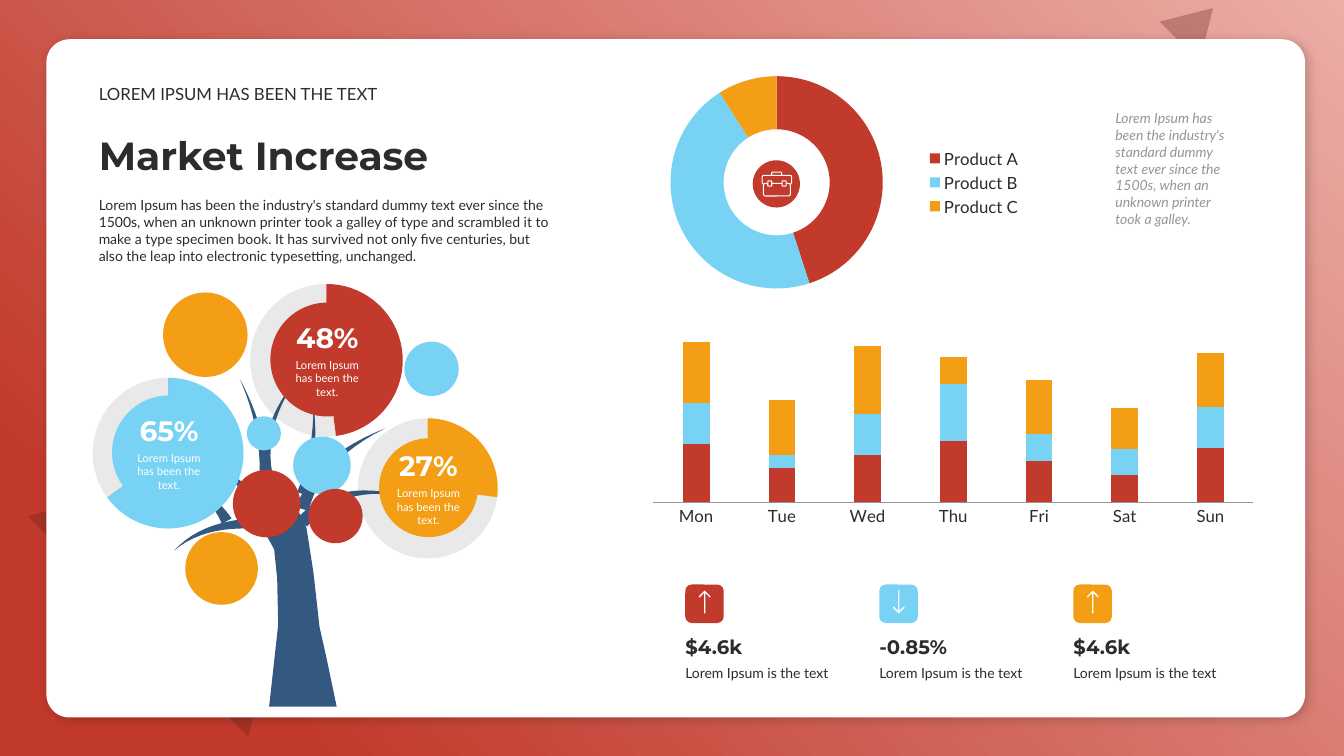
import lxml.etree
import pptx
import pptx.chart.data
import pptx.dml.color
import pptx.enum.chart
import pptx.enum.shapes
import pptx.enum.text
import pptx.oxml
import pptx.oxml.ns
import pptx.util

Cm = pptx.util.Cm
Pt = pptx.util.Pt
Shape = pptx.enum.shapes.MSO_SHAPE
Kind = pptx.enum.chart.XL_CHART_TYPE
Anchor = pptx.enum.text.MSO_ANCHOR
qn = pptx.oxml.ns.qn
DRAWING = 'xmlns:a="http://schemas.openxmlformats.org/drawingml/2006/main"'

RED, BLUE, ORANGE = "C13A2C", "78D2F4", "F39E14"
INK, WHITE, GREY, TRUNK, SHADE = "2C2C2C", "FFFFFF", "969696", "335981", "601D16"
FINE = Cm(0.0254)  # grid step of the tree

GRADIENT = f"""<a:gradFill {DRAWING} rotWithShape="1"><a:gsLst>
<a:gs pos="0"><a:srgbClr val="EBADA6"/></a:gs><a:gs pos="85000"><a:srgbClr val="{RED}"/></a:gs>
</a:gsLst><a:path path="circle"><a:fillToRect l="100000" b="100000"/></a:path></a:gradFill>"""
SHADOW = f"""<a:effectLst {DRAWING}><a:outerShdw blurRad="101600" dist="38100" dir="2700000"
algn="tl" rotWithShape="0"><a:srgbClr val="000000"><a:alpha val="20000"/></a:srgbClr>
</a:outerShdw></a:effectLst>"""

STEM = [(267, 701), (276, 620), (275, 574), (272, 545), (262, 527), (290, 495),
        (304, 523), (311, 568), (317, 622), (324, 653), (334, 701)]
# Branches: root, bend, tip and width at the root
BRANCHES = [((270, 520), (205, 515), (173, 546), 12), ((225, 517), (212, 493), (180, 476), 11),
            ((270, 515), (230, 462), (165, 434), 9), ((262, 475), (262, 425), (238, 376), 9),
            ((268, 480), (255, 425), (298, 371), 9), ((300, 490), (314, 450), (311, 401), 11),
            ((300, 505), (315, 455), (382, 425), 13), ((300, 518), (335, 478), (401, 492), 13)]
ARROW_HALF = [(0, 0), (15, 15), (13, 18), (1.5, 6), (1.5, 58)]
ARROW_UP = ARROW_HALF + [(-x, y) for x, y in reversed(ARROW_HALF[1:])]
ARROW_DOWN = [(x, 58 - y) for x, y in ARROW_UP]


def color(value):
    return pptx.dml.color.RGBColor.from_string(value)


def taper(root, bend, tip, width, steps=12):
    """Outline of a curved branch that narrows to a point."""
    sides = ([], [])
    for step in range(steps + 1):
        t = step / steps
        x, y = ((1 - t) ** 2 * a + 2 * t * (1 - t) * b + t * t * c for a, b, c in zip(root, bend, tip))
        dx, dy = ((1 - t) * (b - a) + t * (c - b) for a, b, c in zip(root, bend, tip))
        reach = width * (1 - t) / 2 / (dx * dx + dy * dy) ** 0.5
        for side, sign in zip(sides, (1, -1)):
            side.append((x - sign * dy * reach, y + sign * dx * reach))
    return sides[0] + sides[1][::-1]


class Board:
    """Holds the style and the current slide."""

    def __init__(self, page, body="Lato", heading="Montserrat"):
        self.page, self.body, self.heading = page, body, heading

    def paint(self, target, value, alpha=None):
        target.fill.solid()
        target.fill.fore_color.rgb = color(value)
        target.line.fill.background()
        if alpha:
            tint = target.fill._xPr.find(qn("a:solidFill"))[0]
            lxml.etree.SubElement(tint, qn("a:alpha")).set("val", str(alpha * 1000))

    def shape(self, kind, left, top, width, height, value, alpha=None, rotation=0):
        box = self.page.shapes.add_shape(kind, Cm(left), Cm(top), Cm(width), Cm(height))
        box.shadow.inherit = False
        box.rotation = rotation
        self.paint(box, value, alpha)
        return box

    def ball(self, left, top, size, value):
        return self.shape(Shape.OVAL, left, top, size, size, value)

    def outline(self, points, left, top, unit, value):
        scaled = [(x * unit, y * unit) for x, y in points]
        builder = self.page.shapes.build_freeform(*scaled[0], scale=1.0)
        builder.add_line_segments(scaled[1:], close=True)
        form = builder.convert_to_shape(Cm(left), Cm(top))
        form.shadow.inherit = False
        self.paint(form, value)

    def style(self, font, size, value=INK, bold=False, italic=False):
        font.name = self.heading if bold else self.body
        font.size, font.bold, font.italic = Pt(size), bold, italic
        font.color.rgb = color(value)

    def text(self, words, left, top, width, height, size, anchor=Anchor.TOP, side=0.25, **look):
        box = self.page.shapes.add_textbox(Cm(left), Cm(top), Cm(width), Cm(height))
        frame = box.text_frame
        frame.word_wrap, frame.vertical_anchor = True, anchor
        frame.margin_left = frame.margin_right = Cm(side)
        frame.text = words
        self.style(frame.paragraphs[0].runs[0].font, size, **look)

    def chart(self, kind, left, top, width, height, categories, rows, size=10, layout=None):
        data = pptx.chart.data.CategoryChartData()
        data.categories = categories
        for number, row in enumerate(rows, 1):
            data.add_series(f"Series {number}", row)
        chart = self.page.shapes.add_chart(kind, Cm(left), Cm(top), Cm(width), Cm(height), data).chart
        chart.has_title = chart.has_legend = False
        self.style(chart.font, size)
        if layout:
            area = chart._chartSpace.find(".//" + qn("c:plotArea"))
            for old in area.findall(qn("c:layout")):
                area.remove(old)
            holder = lxml.etree.Element(qn("c:layout"))
            manual = lxml.etree.SubElement(holder, qn("c:manualLayout"))
            settings = ["inner", "edge", "edge", *layout]
            for tag, setting in zip(["layoutTarget", "xMode", "yMode", "x", "y", "w", "h"], settings):
                lxml.etree.SubElement(manual, qn("c:" + tag)).set("val", str(setting))
            area.insert(0, holder)
        return chart

    def doughnut(self, left, top, width, height, categories, values, fills, hole, layout=None):
        chart = self.chart(Kind.DOUGHNUT, left, top, width, height, categories, [values], layout=layout)
        chart._chartSpace.find(".//" + qn("c:holeSize")).set("val", str(hole))
        for index, fill in enumerate(fills):
            self.paint(chart.plots[0].series[0].points[index].format, *fill)
        return chart

    def gauge(self, percent, center_x, center_y, width, disc, value):
        height = 0.92 * width
        self.doughnut(center_x - width / 2, center_y - height / 2, width, height, ["1", "2"],
                      [percent, 100 - percent], [(value,), (INK, 10)], 80, (0.06, 0.03, 0.87, 0.95))
        frame = self.ball(center_x - disc / 2, center_y - disc / 2, disc, value).text_frame
        frame.word_wrap, frame.vertical_anchor = True, Anchor.MIDDLE
        frame.margin_left = frame.margin_right = 0
        frame.text = f"{percent}%\nLorem Ipsum has been the text."
        for para, size, bold in zip(frame.paragraphs, (20, 8), (True, False)):
            para.alignment, para.space_before = pptx.enum.text.PP_ALIGN.CENTER, Pt(3)
            self.style(para.runs[0].font, size, WHITE, bold)

    def briefcase(self, left, top):
        # Handle, lid, case and two clasps
        for x, y, width, height in [(0.25, 0.02, 0.25, 0.1), (0.01, 0.1, 0.74, 0.22), (0.04, 0.3, 0.68, 0.32),
                                    (0.15, 0.24, 0.1, 0.13), (0.51, 0.24, 0.1, 0.13)]:
            part = self.shape(Shape.ROUNDED_RECTANGLE, left + x, top + y, width, height, RED)
            part.line.color.rgb, part.line.width = color(WHITE), Pt(0.75)


def main():
    deck = pptx.Presentation()
    deck.slide_width, deck.slide_height = Cm(33.87), Cm(19.05)
    board = Board(deck.slides.add_slide(deck.slide_layouts[6]))

    # Backdrop and card
    backdrop = board.shape(Shape.RECTANGLE, 0, 0, 33.87, 19.05, RED)._element.spPr
    backdrop.replace(backdrop.find(qn("a:solidFill")), pptx.oxml.parse_xml(GRADIENT))
    board.shape(Shape.ISOSCELES_TRIANGLE, 1.85, 10.21, 7.87, 6.53, SHADE, 30, 45)
    board.shape(Shape.ISOSCELES_TRIANGLE, 29.44, 0.03, 1.42, 1.19, SHADE, 30, 45)
    card = board.shape(Shape.ROUNDED_RECTANGLE, 1.17, 0.99, 31.72, 17.09, WHITE)
    card.adjustments[0] = 0.034
    effects = card._element.spPr
    effects.replace(effects.find(qn("a:effectLst")), pptx.oxml.parse_xml(SHADOW))

    # Heading
    board.text("Lorem Ipsum has been the industry's standard dummy text ever since the 1500s, when an unknown "
               "printer took a galley of type and scrambled it to make a type specimen book. It has survived not "
               "only five centuries, but also the leap into electronic typesetting, unchanged.",
               2.24, 4.83, 12.01, 1.96, 10)
    board.text("Market Increase", 2.24, 3.18, 12.01, 1.45, 28, Anchor.BOTTOM, bold=True)
    board.text("LOREM IPSUM HAS BEEN THE TEXT", 2.24, 1.98, 12.01, 0.76, 12, Anchor.BOTTOM)

    # Tree with gauges and balls
    for points in [STEM] + [taper(*branch) for branch in BRANCHES]:
        board.outline(points, 0, 0, FINE, TRUNK)
    board.gauge(65, 4.26, 11.4, 4.37, 2.87, BLUE)
    for ball in [(4.67, 13.41, 1.83, ORANGE), (5.87, 11.84, 1.7, RED), (7.39, 11, 1.45, BLUE),
                 (4.11, 7.37, 2.13, ORANGE), (7.77, 12.32, 1.37, RED), (10.19, 8.61, 1.37, BLUE)]:
        board.ball(*ball)
    board.gauge(48, 8.25, 9.06, 4.42, 2.87, RED)
    board.gauge(27, 10.8, 12.29, 4.06, 2.49, ORANGE)
    board.ball(6.22, 10.49, 0.86, BLUE)

    # Product shares
    shares = board.doughnut(15.85, 1.57, 10.16, 6.05, ["Product A", "Product B", "Product C"],
                            [45, 46, 9], [(RED,), (BLUE,), (ORANGE,)], 50)
    shares.has_legend = True
    shares.legend.position = pptx.enum.chart.XL_LEGEND_POSITION.RIGHT
    shares.legend.include_in_layout = False
    board.style(shares.legend.font, 12)
    board.text("Lorem Ipsum has been the industry's standard dummy text ever since the 1500s, when an unknown "
               "printer took a galley.", 27.86, 2.62, 3.4, 3.25, 10, Anchor.MIDDLE, value=GREY, italic=True)
    board.ball(18.97, 4.04, 1.19, RED)
    board.briefcase(19.2, 4.32)

    # Weekly columns
    week = board.chart(Kind.COLUMN_STACKED, 16.15, 7.75, 15.75, 5.64,
                       ["Mon", "Tue", "Wed", "Thu", "Fri", "Sat", "Sun"],
                       [[86, 50, 70, 90, 60, 40, 80], [60, 20, 60, 84, 40, 38, 60],
                        [90, 80, 100, 40, 80, 60, 80]], 12, (0.02, 0.02, 0.96, 0.85))
    week.plots[0].gap_width, week.plots[0].overlap = 220, 100
    for series, value in zip(week.plots[0].series, (RED, BLUE, ORANGE)):
        board.paint(series.format, value)
    week.value_axis.visible = week.value_axis.has_major_gridlines = False
    week.value_axis.minimum_scale, week.value_axis.maximum_scale = 0, 280
    week.category_axis.major_tick_mark = pptx.enum.chart.XL_TICK_MARK.NONE
    week.category_axis.format.line.color.rgb = color(GREY)

    # Key figures
    figures = [("$4.6k", RED, ARROW_UP), ("-0.85%", BLUE, ARROW_DOWN), ("$4.6k", ORANGE, ARROW_UP)]
    for index, (amount, value, arrow) in enumerate(figures):
        left = 17.27 + 4.89 * index
        board.shape(Shape.ROUNDED_RECTANGLE, left, 14.73, 0.97, 0.97, value)
        board.outline(arrow, left + 0.49, 14.88, Cm(0.01), WHITE)
        board.text("Lorem Ipsum is the text", left, 16.61, 3.89, 0.69, 10, side=0)
        board.text(amount, left, 15.85, 3.89, 0.86, 14, Anchor.BOTTOM, side=0, bold=True)

    deck.save("out.pptx")


if __name__ == "__main__":
    main()
